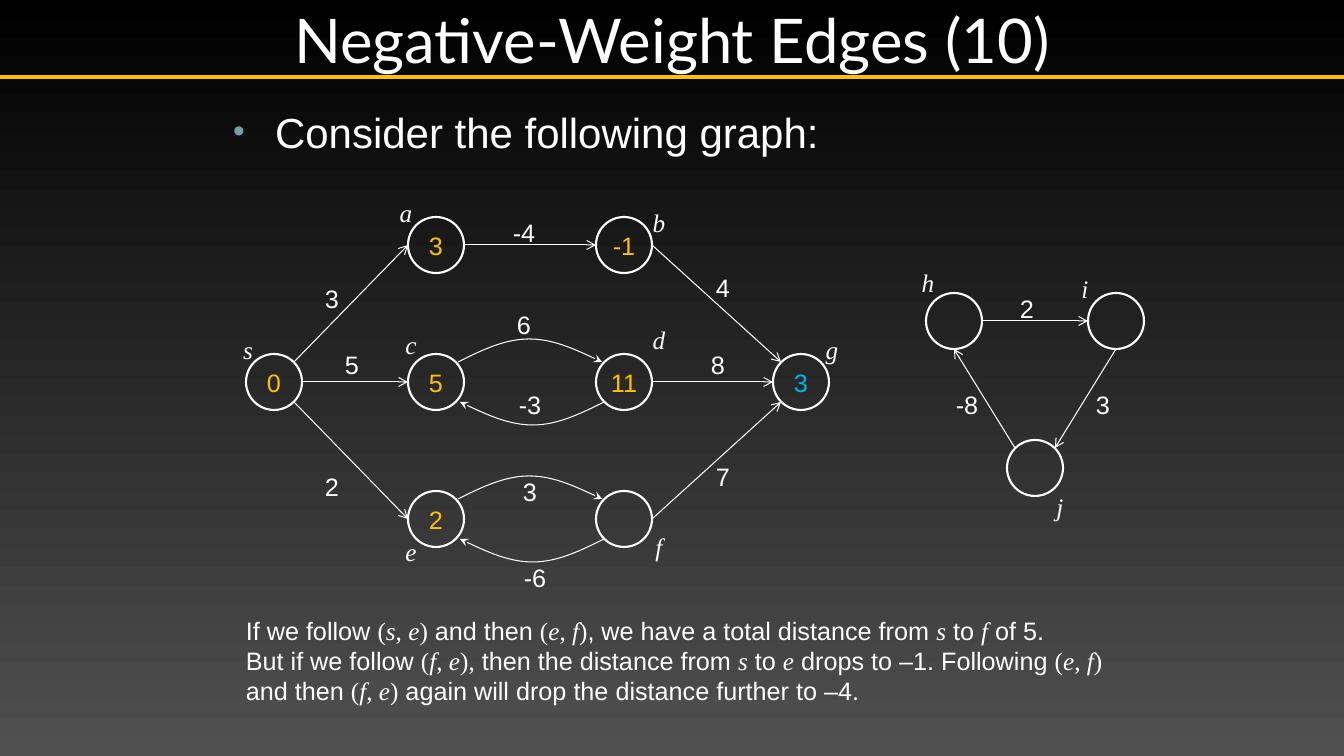
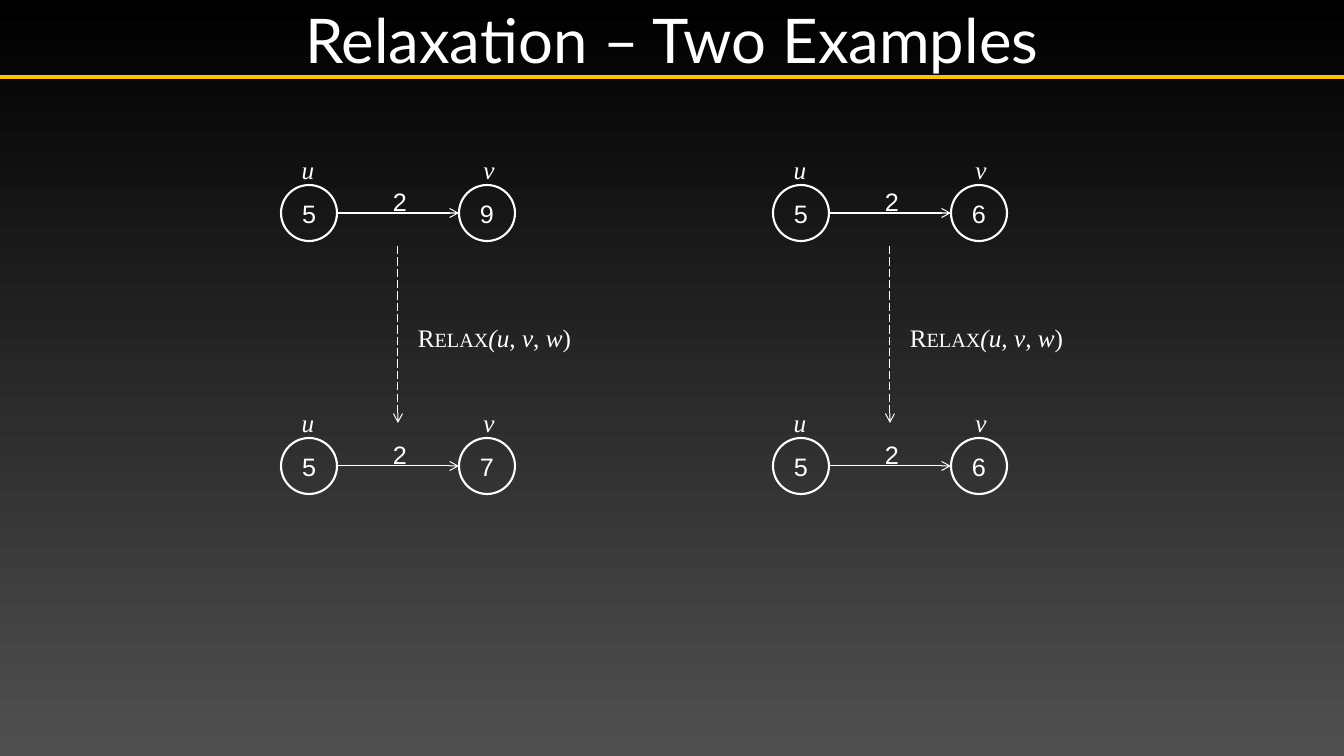
from lxml.etree import SubElement
from pptx import Presentation
from pptx.dml.color import RGBColor
from pptx.enum.dml import MSO_LINE
from pptx.enum.shapes import MSO_CONNECTOR, MSO_SHAPE
from pptx.enum.text import MSO_ANCHOR, MSO_AUTO_SIZE, PP_ALIGN
from pptx.oxml.ns import qn
from pptx.util import Pt

WHITE = RGBColor(0xFF, 0xFF, 0xFF)
BLACK = RGBColor(0x00, 0x00, 0x00)
GRAY = RGBColor(0x50, 0x50, 0x50)
GOLD = RGBColor(0xFF, 0xC0, 0x00)
BLUE = RGBColor(0x00, 0xB0, 0xF0)
BULLET_COLOR = RGBColor(0x6E, 0xA0, 0xB0)

TITLE_FONT, TEXT_FONT, MATH_FONT = "Lato", "Arial", "Times New Roman"
SLIDE_WIDTH, SLIDE_HEIGHT, TITLE_HEIGHT = 1344, 756, 77
RADIUS = 28
LAYOUT_TITLE_BODY, LAYOUT_TITLE = 1, 5

# Offsets from a node's centre to the points where edges attach
SIDES = {
    "e": (28, 0), "w": (-28, 0), "s": (0, 28),
    "ne": (20, -20), "nw": (-20, -20), "se": (20, 20), "sw": (-20, 20),
}

# Text markup: |formula| is set in the math font, *letter* in italics
GRAPH_TITLE = "Negative-Weight Edges (10)"
GRAPH_BULLET = "Consider the following graph:"
# name: (centre, name centre, distance, distance colour)
NODES = {
    "a": ((436, 245), (406, 212), "3", GOLD),
    "b": ((624, 245), (659, 222), "-1", GOLD),
    "c": ((436, 382), (411, 344), "5", GOLD),
    "d": ((624, 382), (659, 339), "11", GOLD),
    "e": ((436, 519), (411, 551), "2", GOLD),
    "f": ((624, 519), (659, 546), "", GOLD),
    "s": ((274, 382), (248, 349), "0", GOLD),
    "g": ((801, 382), (832, 349), "3", BLUE),
    "h": ((954, 321), (928, 282), "", GOLD),
    "i": ((1116, 321), (1085, 288), "", GOLD),
    "j": ((1035, 468), (1060, 506), "", GOLD),
}
# from, side, to, side, weight, weight centre
STRAIGHT_EDGES = [
    ("s", "ne", "a", "w", "3", (332, 298)),
    ("a", "e", "b", "w", "-4", (524, 232)),
    ("b", "e", "g", "nw", "4", (723, 287)),
    ("s", "se", "e", "w", "2", (332, 486)),
    ("f", "e", "g", "sw", "7", (723, 476)),
    ("s", "e", "c", "w", "5", (352, 364)),
    ("d", "e", "g", "w", "8", (718, 364)),
    ("h", "e", "i", "w", "2", (1027, 308)),
    ("i", "s", "j", "ne", "3", (1103, 404)),
    ("j", "nw", "h", "s", "-8", (967, 404)),
]
# from, direction (1 rightwards, -1 leftwards), weight, weight centre
CURVED_EDGES = [
    ("c", 1, "6", (524, 324)),
    ("d", -1, "-3", (530, 404)),
    ("e", 1, "3", (530, 491)),
    ("f", -1, "-6", (535, 577)),
]
CURVE = [(24, -12), (47, -23), (71, -23), (94, -23), (119, -12), (144, 0)]
# top, height, text
NOTES = [
    (610, 40, "If we follow |(*s*, *e*)| and then |(*e*, *f*)|, we have a total "
              "distance from |*s*| to |*f*| of 5."),
    (640, 71, "But if we follow |(*f*, *e*),| then the distance from |*s*| to |*e*| "
              "drops to –1. Following |(*e*, *f*)| and then |(*f*, *e*)| again will "
              "drop the distance further to –4."),
]

RELAX_TITLE = "Relaxation – Two Examples"
RELAX_CALL = "|*Relax*(*u*, *v*, *w*)|".replace("*Relax*", "Relax")
RELAX_ROWS = (213, 466)
# x of u, then the distances (u, v) before and after
RELAX_EXAMPLES = [
    (309, [("5", "9"), ("5", "7")]),
    (801, [("5", "6"), ("5", "6")]),
]
RELAX_SPAN, RELAX_WEIGHT = 178, "2"


def px(value):
    return round(value * 914400 / 100.8)


def place(shape, left, top, width, height):
    shape.left, shape.top = px(left), px(top)
    shape.width, shape.height = px(width), px(height)


def add_run(paragraph, text, size, font=TEXT_FONT, color=WHITE, italic=None):
    run = paragraph.add_run()
    run.text = text
    run.font.size, run.font.name = Pt(size), font
    run.font.color.rgb = color
    run.font.italic = italic


def add_marked_runs(paragraph, text):
    for i, piece in enumerate(text.split("|")):
        for j, part in enumerate(piece.split("*")):
            if part:
                font = MATH_FONT if i % 2 else TEXT_FONT
                add_run(paragraph, part, 18, font, italic=bool(j % 2))


def add_text(shapes, left, top, width, height, text, align=PP_ALIGN.LEFT):
    box = shapes.add_textbox(px(left), px(top), px(width), px(height))
    box.text_frame.word_wrap = True
    box.text_frame.auto_size = MSO_AUTO_SIZE.SHAPE_TO_FIT_TEXT
    paragraph = box.text_frame.paragraphs[0]
    paragraph.alignment = align
    add_marked_runs(paragraph, text)
    return box


def add_label(shapes, center, text, width):
    x, y = center
    add_text(shapes, x - width / 2, y - 20, width, 40, text, PP_ALIGN.CENTER)


def add_weight(shapes, center, text):
    add_label(shapes, center, text, 50)


def add_name(shapes, center, name):
    add_label(shapes, center, f"|*{name}*|", 35)


def add_node(shapes, center, text, color=WHITE):
    x, y = center
    node = shapes.add_shape(MSO_SHAPE.OVAL, px(x - RADIUS), px(y - RADIUS),
                            px(2 * RADIUS), px(2 * RADIUS))
    node.shadow.inherit = False
    node.fill.background()
    node.line.color.rgb = WHITE
    node.line.width = Pt(1.5)
    frame = node.text_frame
    frame.margin_left = frame.margin_right = 0
    frame.vertical_anchor = MSO_ANCHOR.MIDDLE
    if text:
        frame.paragraphs[0].alignment = PP_ALIGN.CENTER
        add_run(frame.paragraphs[0], text, 18, color=color)


def add_arrowhead(shape, kind):
    SubElement(shape.element.spPr.find(qn("a:ln")), qn("a:tailEnd"), type=kind)


def add_line(shapes, start, end, color=WHITE, width=0.75):
    line = shapes.add_connector(MSO_CONNECTOR.STRAIGHT, *map(px, start + end))
    line.line.color.rgb = color
    line.line.width = Pt(width)
    SubElement(line.element.spPr, qn("a:effectLst"))
    return line


def add_arrow(shapes, start, end, dash=None):
    arrow = add_line(shapes, start, end)
    if dash:
        arrow.line.dash_style = dash
    add_arrowhead(arrow, "arrow")


def add_curve(shapes, start, direction):
    """Draw two joined Bézier arcs; direction -1 turns the curve by 180 degrees."""
    x, y = start
    points = [(px(x + direction * dx), px(y + direction * dy)) for dx, dy in CURVE]
    builder = shapes.build_freeform(px(x), px(y))
    builder.add_line_segments(points, close=False)
    curve = builder.convert_to_shape()
    outline = next(curve.element.iter(qn("a:path")))
    segments = outline.findall(qn("a:lnTo"))
    for first in range(0, len(segments), 3):
        arc = SubElement(outline, qn("a:cubicBezTo"))
        for segment in segments[first:first + 3]:
            arc.append(segment[0])
            outline.remove(segment)
    curve.shadow.inherit = False
    curve.fill.background()
    curve.line.color.rgb = WHITE
    curve.line.width = Pt(0.75)
    add_arrowhead(curve, "stealth")


def attach(name, side):
    (x, y), (dx, dy) = NODES[name][0], SIDES[side]
    return x + dx, y + dy


def style_master(presentation, slide):
    """Give the master its gradient and the gold rule, drawn first on a slide."""
    master = presentation.slide_master
    fill = master.background.fill
    fill.gradient()
    fill.gradient_angle = 270
    for stop, position, color in zip(fill.gradient_stops, (0, 1), (BLACK, GRAY)):
        stop.position = position
        stop.color.rgb = color
    rule = add_line(slide.shapes, (0, TITLE_HEIGHT), (SLIDE_WIDTH, TITLE_HEIGHT), GOLD, 2.5)
    master.shapes.element.append(rule.element)


def add_titled_slide(presentation, layout, text):
    slide = presentation.slides.add_slide(presentation.slide_layouts[layout])
    title = slide.shapes.title
    place(title, 0, 0, SLIDE_WIDTH, TITLE_HEIGHT)
    frame = title.text_frame
    frame.auto_size = MSO_AUTO_SIZE.NONE
    frame.vertical_anchor = MSO_ANCHOR.MIDDLE
    frame.margin_left = frame.margin_right = px(5)
    frame.margin_top = frame.margin_bottom = px(5)
    frame.paragraphs[0].alignment = PP_ALIGN.CENTER
    add_run(frame.paragraphs[0], text, 44, TITLE_FONT)
    return slide


def fill_body(body, text):
    place(body, 219, 101, 925, 77)
    body.text_frame.auto_size = MSO_AUTO_SIZE.NONE
    paragraph = body.text_frame.paragraphs[0]
    paragraph.space_before, paragraph.space_after = Pt(0), Pt(6)
    add_run(paragraph, text, 30)
    properties = next(body.element.iter(qn("a:pPr")))
    properties.set("marL", str(px(46)))
    properties.set("indent", str(px(-42)))
    color = SubElement(properties, qn("a:buClr"))
    SubElement(color, qn("a:srgbClr"), val=str(BULLET_COLOR))
    SubElement(properties, qn("a:buSzPct"), val="80000")
    SubElement(properties, qn("a:buFont"), typeface=TEXT_FONT)
    SubElement(properties, qn("a:buChar"), char="•")


def draw_graph(shapes):
    for name, (center, name_center, distance, color) in NODES.items():
        add_node(shapes, center, distance, color)
        add_name(shapes, name_center, name)
    for tail, tail_side, head, head_side, weight, center in STRAIGHT_EDGES:
        add_arrow(shapes, attach(tail, tail_side), attach(head, head_side))
        add_weight(shapes, center, weight)
    for tail, direction, weight, center in CURVED_EDGES:
        x, y = attach(tail, "ne" if direction > 0 else "sw")
        add_curve(shapes, (x + 2 if direction > 0 else x, y), direction)
        add_weight(shapes, center, weight)
    for top, height, text in NOTES:
        add_text(shapes, 236, top, 923, height, text)


def draw_relaxation(shapes, u_x, states):
    v_x = u_x + RELAX_SPAN
    for y, (u_distance, v_distance) in zip(RELAX_ROWS, states):
        pair = shapes.add_group_shape().shapes
        add_node(pair, (u_x, y), u_distance)
        add_node(pair, (v_x, y), v_distance)
        add_arrow(pair, (u_x + RADIUS, y), (v_x - RADIUS, y))
        add_weight(pair, (u_x + 91, y - 12), RELAX_WEIGHT)
        add_name(pair, (u_x - 1, y - 44), "u")
        add_name(pair, (v_x + 2, y - 44), "v")
    middle = u_x + RELAX_SPAN / 2
    add_arrow(shapes, (middle, 246), (middle, 423), MSO_LINE.LONG_DASH)
    call = add_text(shapes, middle + 10, 317, 177, 40, RELAX_CALL)
    # The procedure name, as far as the bracket, is set in small capitals
    name, rest = call.text_frame.paragraphs[0].runs[0], "("
    name.text = name.text.removesuffix(rest)
    next(call.element.iter(qn("a:rPr"))).set("cap", "small")
    call.text_frame.paragraphs[0].runs[1].text = rest + "u"


def main():
    presentation = Presentation()
    presentation.slide_width, presentation.slide_height = px(SLIDE_WIDTH), px(SLIDE_HEIGHT)

    slide = add_titled_slide(presentation, LAYOUT_TITLE_BODY, GRAPH_TITLE)
    style_master(presentation, slide)
    fill_body(slide.placeholders[1], GRAPH_BULLET)
    draw_graph(slide.shapes)

    slide = add_titled_slide(presentation, LAYOUT_TITLE, RELAX_TITLE)
    for u_x, states in RELAX_EXAMPLES:
        draw_relaxation(slide.shapes, u_x, states)

    presentation.save("out.pptx")


if __name__ == "__main__":
    main()
